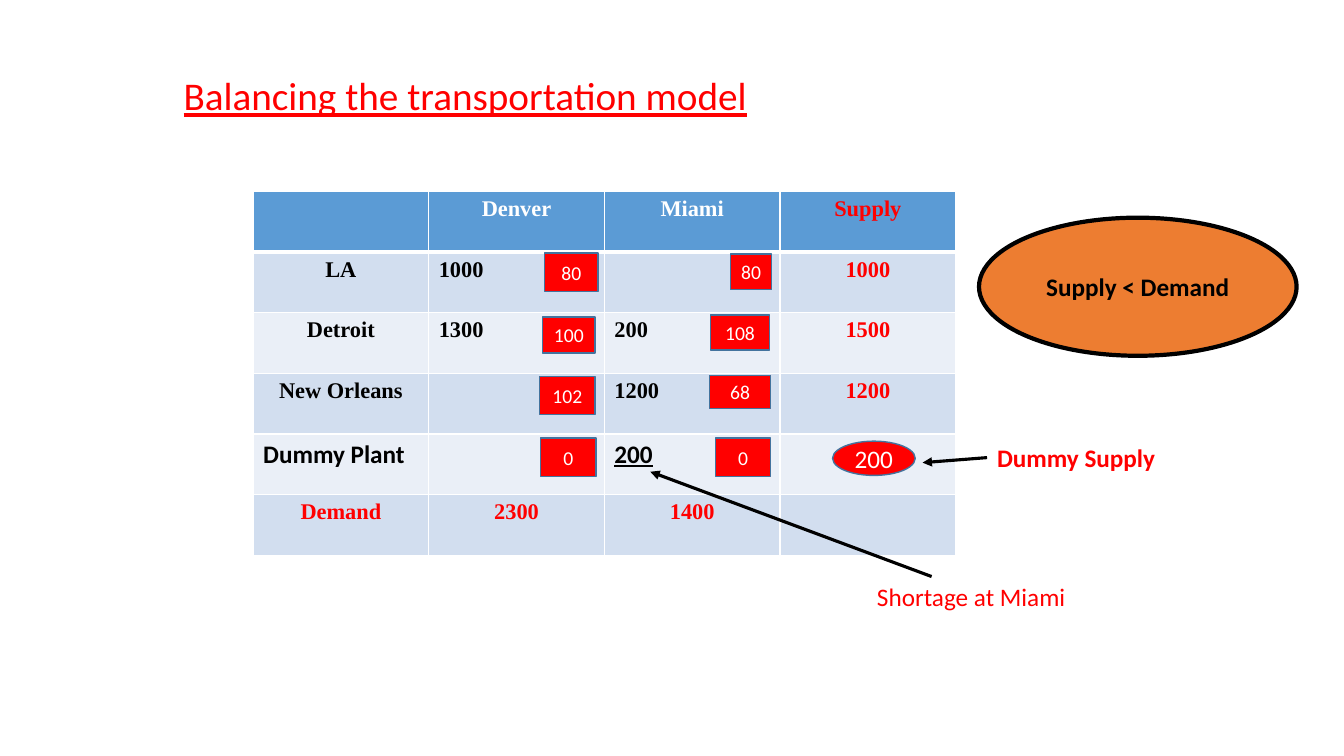
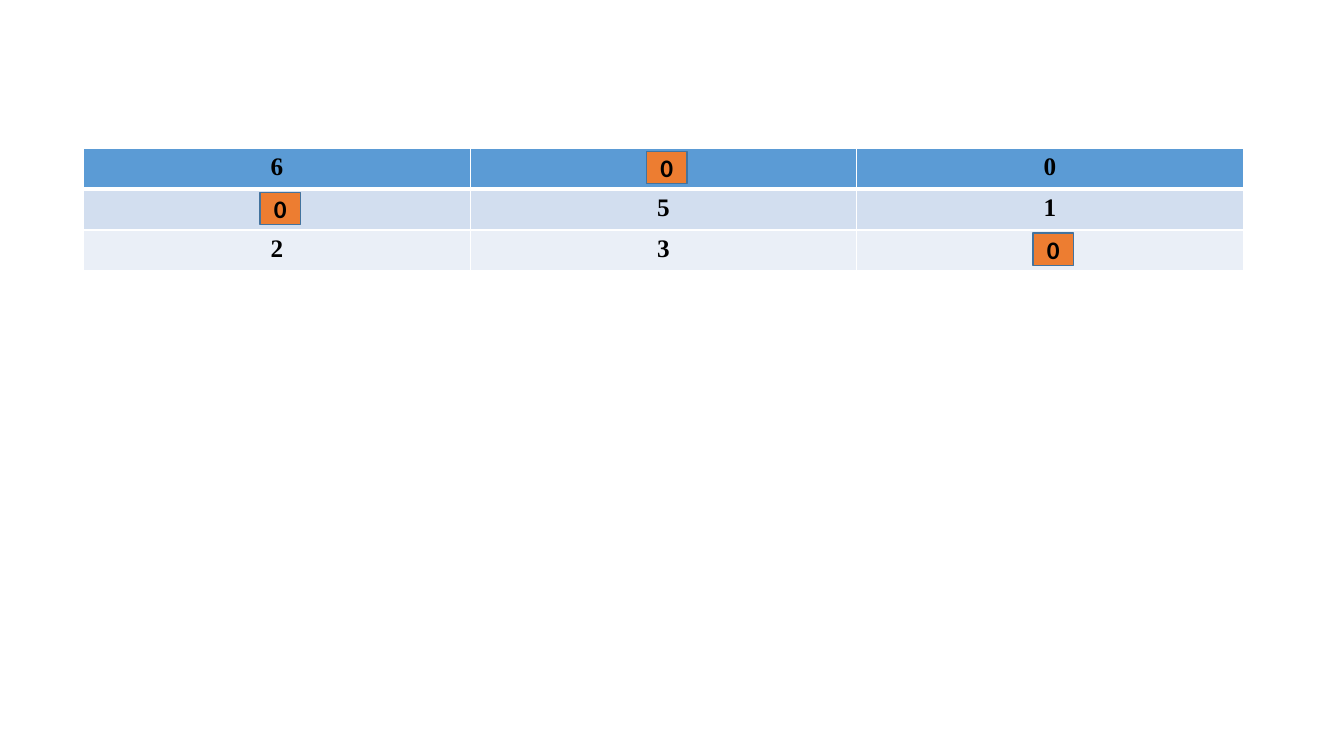
from lxml import etree
from pptx import Presentation
from pptx.dml.color import RGBColor
from pptx.enum.shapes import MSO_CONNECTOR, MSO_SHAPE
from pptx.enum.text import MSO_ANCHOR, MSO_AUTO_SIZE, PP_ALIGN
from pptx.oxml.ns import qn
from pptx.util import Inches, Pt

RECTANGLE, OVAL = MSO_SHAPE.RECTANGLE, MSO_SHAPE.OVAL
STRAIGHT = MSO_CONNECTOR.STRAIGHT
LEFT, CENTER = PP_ALIGN.LEFT, PP_ALIGN.CENTER
TOP, MIDDLE = MSO_ANCHOR.TOP, MSO_ANCHOR.MIDDLE
NO_AUTOFIT = MSO_AUTO_SIZE.NONE

SANS, SERIF = "Calibri", "Times New Roman"
RED, ORANGE, BLACK, WHITE = "FF0000", "ED7D31", "000000", "FFFFFF"
HEADER_FILL, OUTLINE = "5B9BD5", "43739E"
BAND_FILLS = ("EAEFF7", "D2DEEF")

TITLE_ONLY, BLANK = 5, 6
LEFT_SIDE = 1


def rgb(value):
    return RGBColor.from_string(value)


def write(text_frame, text, size, color, font=SANS, bold=False,
          underline=False, align=LEFT):
    text_frame.text = text
    paragraph = text_frame.paragraphs[0]
    paragraph.alignment = align
    for run in paragraph.runs:
        run.font.size = Pt(size)
        run.font.name = font
        run.font.bold = bold
        run.font.underline = underline
        run.font.color.rgb = rgb(color)


def add_title(slide, box, text):
    title = slide.shapes.title
    title.left, title.top, title.width, title.height = map(Inches, box)
    frame = title.text_frame
    write(frame, text, 28, RED, underline=True)
    frame.word_wrap = True
    frame.auto_size = NO_AUTOFIT
    frame.vertical_anchor = TOP


def add_label(slide, box, text, bold=False):
    label = slide.shapes.add_textbox(*map(Inches, box))
    label.text_frame.word_wrap = True
    write(label.text_frame, text, 18, RED, bold=bold)
    return label


def add_badge(slide, box, text, preset=RECTANGLE, fill=RED, outline=OUTLINE,
              line_width=1, size=14, color=WHITE, bold=False):
    badge = slide.shapes.add_shape(preset, *map(Inches, box))
    badge.shadow.inherit = False
    badge.fill.solid()
    badge.fill.fore_color.rgb = rgb(fill)
    badge.line.color.rgb = rgb(outline)
    badge.line.width = Pt(line_width)
    badge.text_frame.word_wrap = False
    badge.text_frame.vertical_anchor = MIDDLE
    write(badge.text_frame, text, size, color, bold=bold, align=CENTER)


def add_arrow(slide, start, end):
    arrow = slide.shapes.add_connector(STRAIGHT, *map(Inches, start + end))
    arrow.line.color.rgb = rgb(BLACK)
    arrow.line.width = Pt(2.25)
    etree.SubElement(arrow.line._get_or_add_ln(), qn("a:tailEnd"), type="triangle")
    etree.SubElement(arrow._element.spPr, qn("a:effectLst"))
    return arrow


def add_cell_borders(cell, row):
    widths = {"L": 1, "R": 1, "T": 3 if row == 1 else 1, "B": 3 if row == 0 else 1}
    properties = cell._tc.get_or_add_tcPr()
    for side, width in widths.items():
        line = etree.SubElement(properties, qn(f"a:ln{side}"), w=str(Pt(width)))
        fill = etree.SubElement(line, qn("a:solidFill"))
        etree.SubElement(fill, qn("a:srgbClr"), val=WHITE)


def add_grid(slide, box, rows, cell_style):
    frame = slide.shapes.add_table(len(rows), len(rows[0]), *map(Inches, box))
    for row, texts in enumerate(rows):
        for column, text in enumerate(texts):
            cell = frame.table.cell(row, column)
            add_cell_borders(cell, row)
            cell.fill.solid()
            cell.fill.fore_color.rgb = rgb(BAND_FILLS[row % 2] if row else HEADER_FILL)
            if text:
                write(cell.text_frame, text, **cell_style(row, column))


def cell_origin(box, rows, row, column):
    left, top, width, height = box
    return left + column * width / len(rows[0]), top + row * height / len(rows)


def transport_style(row, column):
    supply, demand, dummy = column == 3, row == 5, row == 4
    if supply or demand:
        color = RED
    else:
        color = BLACK if row else WHITE
    shipment = 0 < row < 5 and column in (1, 2)
    return {
        "size": 18 if dummy else 16,
        "font": SANS if dummy else SERIF,
        "color": color,
        "bold": True,
        "underline": dummy and shipment,
        "align": LEFT if shipment or dummy else CENTER,
    }


def reduced_style(row, column):
    return {"size": 18, "font": SERIF, "color": BLACK, "bold": True, "align": CENTER}


def add_transport_table(slide, box):
    rows = [
        ["", "Denver", "Miami", "Supply"],
        ["LA", "1000", "", "1000"],
        ["Detroit", "1300", "200", "1500"],
        ["New Orleans", "", "1200", "1200"],
        ["Dummy Plant", "", "200", ""],
        ["Demand", "2300", "1400", ""],
    ]
    unit_costs = [
        (1, 1, "80", 1.15, 0.01, 0.53, 0.38),
        (1, 2, "80", 1.25, 0.02, 0.41, 0.35),
        (2, 1, "100", 1.13, 0.04, 0.52, 0.36),
        (2, 2, "108", 1.05, 0.02, 0.59, 0.35),
        (3, 1, "102", 1.1, 0.03, 0.55, 0.38),
        (3, 2, "68", 1.04, 0.02, 0.61, 0.33),
        (4, 1, "0", 1.11, 0.04, 0.55, 0.38),
        (4, 2, "0", 1.1, 0.04, 0.55, 0.38),
    ]
    add_grid(slide, box, rows, transport_style)
    for row, column, cost, inset_x, inset_y, width, height in unit_costs:
        left, top = cell_origin(box, rows, row, column)
        add_badge(slide, (left + inset_x, top + inset_y, width, height), cost)
    left, top = cell_origin(box, rows, 4, 3)
    add_badge(slide, (left + 0.52, top + 0.07, 0.82, 0.34), "200", OVAL, size=18)


def add_annotations(slide, box):
    left, top, width, height = box
    right, bottom = left + width, top + height
    dummy_supply = add_label(slide, (right + 0.31, top + 2.44, 1.82, 0.4),
                             "Dummy Supply", bold=True)
    supply_arrow = add_arrow(slide, (right + 0.31, top + 2.64),
                             (right - 0.33, top + 2.69))
    supply_arrow.begin_connect(dummy_supply, LEFT_SIDE)
    add_label(slide, (right - 0.88, bottom + 0.21, 2.1, 0.4), "Shortage at Miami")
    add_arrow(slide, (right - 0.24, bottom + 0.21), (left + 3.94, top + 2.78))
    add_badge(slide, (right + 0.23, top + 0.26, 3.15, 1.37), "Supply < Demand",
              OVAL, ORANGE, BLACK, 3, 18, BLACK, True)


def build_balancing_slide(presentation):
    slide = presentation.slides.add_slide(presentation.slide_layouts[TITLE_ONLY])
    add_title(slide, (1.72, 0.66, 8.06, 0.88), "Balancing the transportation model")
    table_box = (2.51, 1.9, 6.97, 3.61)
    add_transport_table(slide, table_box)
    add_annotations(slide, table_box)


def build_assignment_slide(presentation):
    slide = presentation.slides.add_slide(presentation.slide_layouts[BLANK])
    box = (0.83, 1.47, 11.5, 1.22)
    rows = [["6", "", "0"], ["", "5", "1"], ["2", "3", ""]]
    add_grid(slide, box, rows, reduced_style)
    for row, texts in enumerate(rows):
        left, top = cell_origin(box, rows, row, texts.index(""))
        add_badge(slide, (left + 1.75, top + 0.03, 0.4, 0.32), "0",
                  fill=ORANGE, size=18, color=BLACK, bold=True)


def main():
    presentation = Presentation()
    presentation.slide_width = Inches(13.33)
    presentation.slide_height = Inches(7.5)
    build_balancing_slide(presentation)
    build_assignment_slide(presentation)
    presentation.save("out.pptx")


if __name__ == "__main__":
    main()
